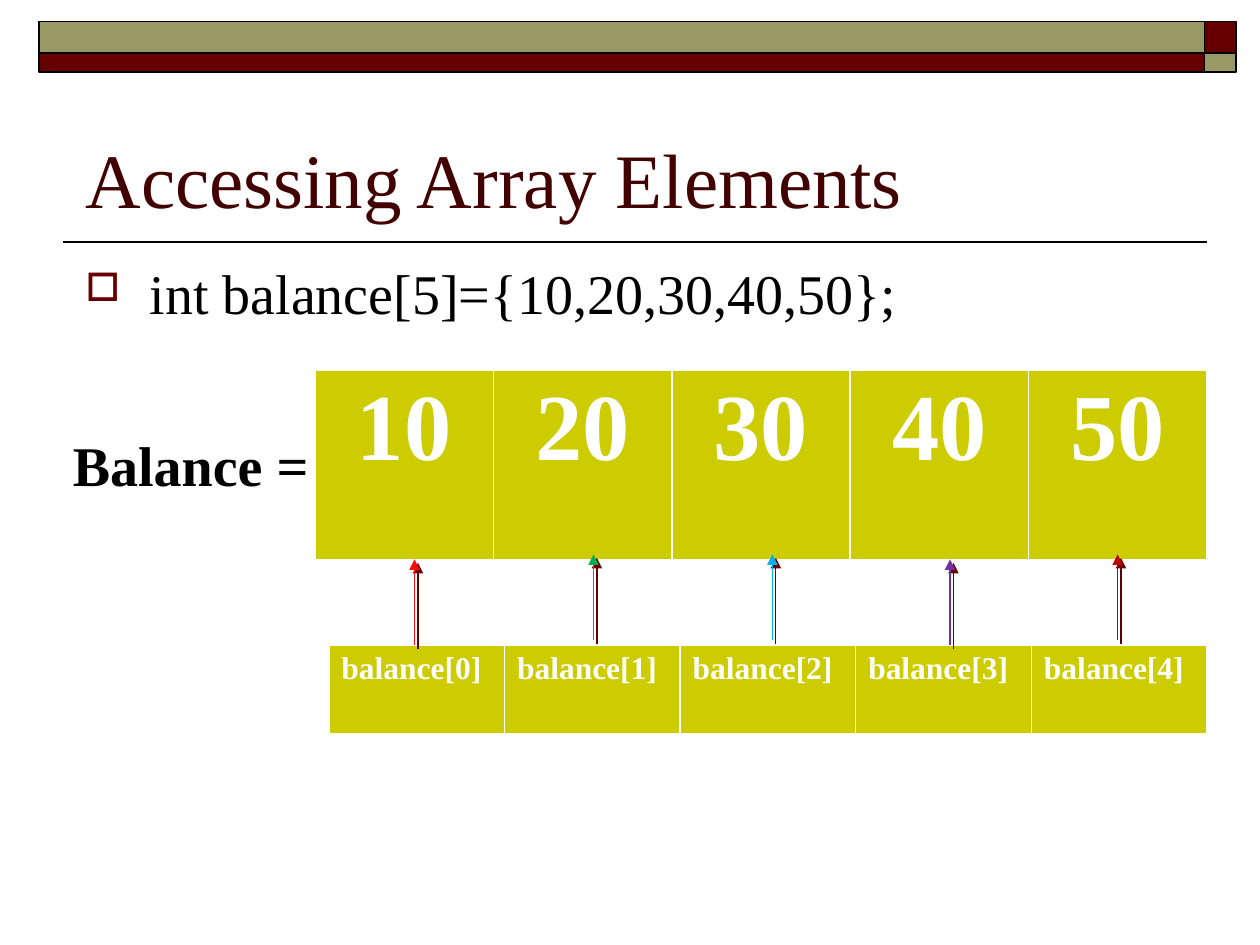
import pptx
import pptx.util
import pptx.dml.color
import pptx.enum.shapes
import pptx.enum.text
import pptx.oxml
import pptx.oxml.ns

Inches, Pt = pptx.util.Inches, pptx.util.Pt
SHAPE = pptx.enum.shapes.MSO_SHAPE.RECTANGLE
LINE = pptx.enum.shapes.MSO_CONNECTOR.STRAIGHT
ALIGN = pptx.enum.text.PP_ALIGN
ANCHOR = pptx.enum.text.MSO_ANCHOR
NS = pptx.oxml.ns.nsdecls("a")
MAROON, OLIVE, GOLD = "660000", "999966", "CCCC00"


def paint(part, color):
    """Give a fill, line or font a solid colour."""
    if hasattr(part, "solid"):
        part.solid()
    target = part.fore_color if hasattr(part, "fore_color") else part.color
    target.rgb = pptx.dml.color.RGBColor.from_string(color)


def write(frame, text, size, color, bold=False, align=ALIGN.LEFT):
    """Fill a text frame with one formatted paragraph."""
    frame.word_wrap = True
    para = frame.paragraphs[0]
    para.alignment = align
    run = para.add_run()
    run.text = text
    look = {"name": "Times New Roman", "size": Pt(size), "bold": bold}
    for key, value in look.items():
        setattr(run.font, key, value)
    paint(run.font, color)
    return para


deck = pptx.Presentation()
deck.slide_width, deck.slide_height = Inches(10), Inches(7.5)
slide = deck.slides.add_slide(deck.slide_layouts[5])
shapes = slide.shapes

# Rule under the title
rule = shapes.add_connector(LINE, Inches(9.58), Inches(1.92), Inches(0.5), Inches(1.92))
paint(rule.line, "000000")
rule.line.width = Pt(1)
rule._element.spPr.append(pptx.oxml.parse_xml(f"<a:effectLst {NS}/>"))

# Banner blocks
for left, top, width, height, color in [
    (9.56, 0.17, 0.25, 0.25, MAROON),
    (0.31, 0.17, 9.25, 0.25, OLIVE),
    (0.31, 0.42, 9.25, 0.15, MAROON),
    (9.56, 0.42, 0.25, 0.15, OLIVE),
]:
    block = shapes.add_shape(SHAPE, Inches(left), Inches(top), Inches(width), Inches(height))
    block.shadow.inherit = False
    paint(block.fill, color)
    paint(block.line, "000000")
    block.line.width = Pt(1)

# Title
title = shapes.title
place = {"left": 0.58, "top": 0.58, "width": 9, "height": 1.25}
for key, value in place.items():
    setattr(title, key, Inches(value))
title.text_frame.vertical_anchor = ANCHOR.BOTTOM
write(title.text_frame, "Accessing Array Elements", 44, "420000")

# Bulleted declaration
body = shapes.add_textbox(Inches(0.58), Inches(2), Inches(9), Inches(4.7))
para = write(body.text_frame, "int balance[5]={10,20,30,40,50};", 32, "000000")
props = para._p.get_or_add_pPr()
props.set("marL", str(Inches(0.51)))
props.set("indent", str(-Inches(0.51)))
for xml in [
    f'<a:buClr {NS}><a:srgbClr val="{MAROON}"/></a:buClr>',
    f'<a:buSzPct {NS} val="70000"/>',
    f'<a:buChar {NS} char="□"/>',
]:
    props.append(pptx.oxml.parse_xml(xml))

# Array label
label = shapes.add_textbox(Inches(0.48), Inches(3.37), Inches(2.12), Inches(0.64))
write(label.text_frame, "Balance =", 32, "000000", True)

# Values and their index names
values = [str(10 * (i + 1)) for i in range(5)]
names = [f"balance[{i}]" for i in range(5)]
for texts, left, top, width, height, size, align in [
    (values, 2.5, 2.94, 7.08, 1.5, 54, ALIGN.CENTER),
    (names, 2.61, 5.12, 6.97, 0.7, 18, ALIGN.LEFT),
]:
    table = shapes.add_table(
        1, 5, Inches(left), Inches(top), Inches(width), Inches(height)
    ).table
    for cell, text in zip(table.rows[0].cells, texts):
        paint(cell.fill, GOLD)
        write(cell.text_frame, text, size, "FFFFFF", True, align)

# Arrows from names to values, each with an offset shadow
for x, base, color in [
    (3.29, 5.12, "FF0A0A"),
    (4.71, 5.08, "00B050"),
    (6.13, 5.08, "00B0F0"),
    (7.54, 5.12, "7030A0"),
    (8.87, 5.08, "C00000"),
]:
    arrow = shapes.add_connector(LINE, Inches(x), Inches(base), Inches(x), Inches(base - 0.68))
    paint(arrow.line, color)
    arrow.line.width = Pt(0.75)
    arrow.line._get_or_add_ln().append(
        pptx.oxml.parse_xml(f'<a:tailEnd {NS} type="triangle"/>')
    )
    arrow._element.spPr.append(pptx.oxml.parse_xml(
        f'<a:effectLst {NS}><a:outerShdw dist="{Pt(2.8)}" dir="2700000" algn="ctr" '
        f'rotWithShape="0"><a:srgbClr val="{MAROON}"/></a:outerShdw></a:effectLst>'
    ))

deck.save("out.pptx")
